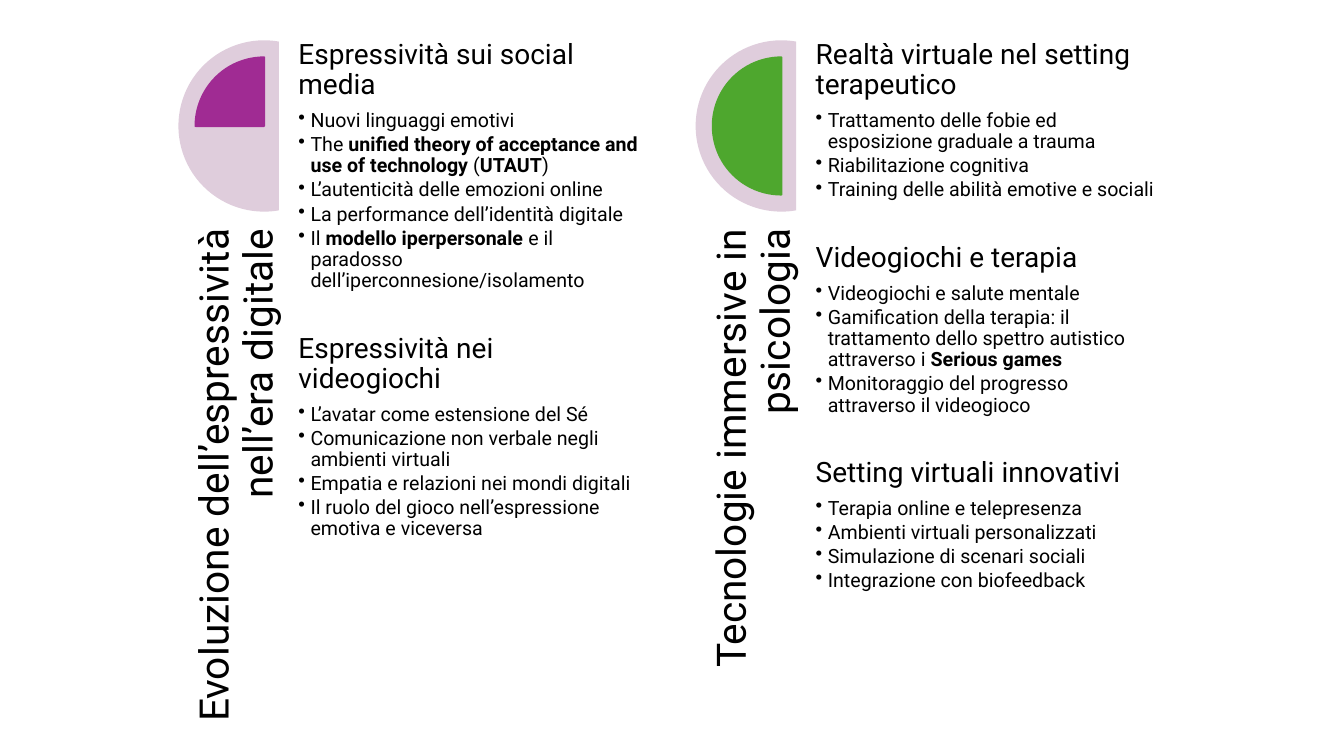
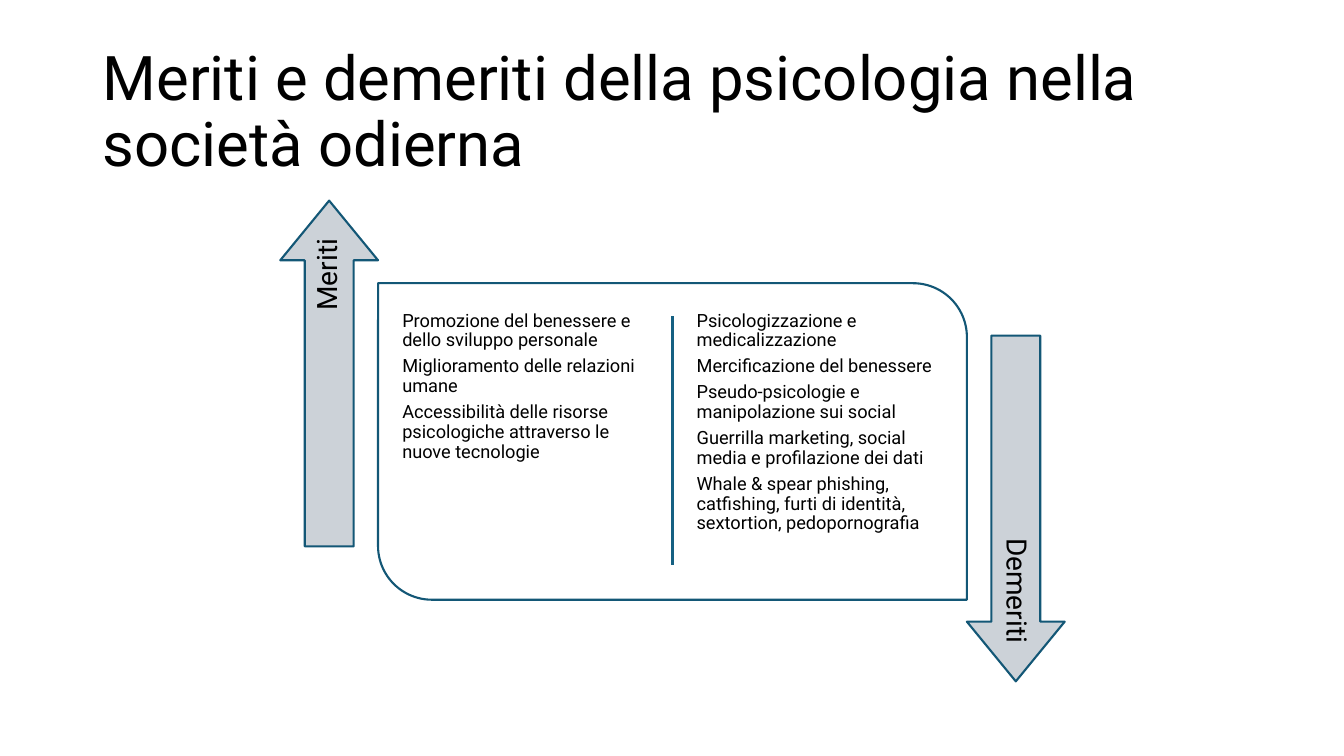
from lxml.etree import SubElement
from pptx import Presentation
from pptx.dml.color import RGBColor
from pptx.enum.shapes import MSO_CONNECTOR, MSO_SHAPE
from pptx.enum.text import MSO_ANCHOR, PP_ALIGN
from pptx.oxml.ns import qn
from pptx.util import Pt

PX = 9144
BLACK = RGBColor(0x00, 0x00, 0x00)
WHITE = RGBColor(0xFF, 0xFF, 0xFF)
MAUVE = RGBColor(0xDF, 0xCD, 0xDC)
PURPLE = RGBColor(0xA0, 0x2B, 0x93)
GREEN = RGBColor(0x4E, 0xA7, 0x2E)
GREY = RGBColor(0xCC, 0xD2, 0xD8)
NAVY = RGBColor(0x13, 0x57, 0x76)
TEAL = RGBColor(0x15, 0x60, 0x82)

CHAPTERS = [
    ("Evoluzione dell’espressività nell’era digitale", PURPLE, 108, [
        ("Espressività sui social media", [
            "Nuovi linguaggi emotivi",
            "The **unified theory of acceptance and use of technology** (**UTAUT**)",
            "L’autenticità delle emozioni online",
            "La performance dell’identità digitale",
            "Il **modello iperpersonale **e il paradosso dell’iperconnesione/isolamento"]),
        ("Espressività nei videogiochi", [
            "L’avatar come estensione del Sé",
            "Comunicazione non verbale negli ambienti virtuali",
            "Empatia e relazioni nei mondi digitali",
            "Il ruolo del gioco nell’espressione emotiva e viceversa"])]),
    ("Tecnologie immersive in psicologia", GREEN, 54, [
        ("Realtà virtuale nel setting terapeutico", [
            "Trattamento delle fobie ed esposizione graduale a trauma",
            "Riabilitazione cognitiva",
            "Training delle abilità emotive e sociali"]),
        ("Videogiochi e terapia", [
            "Videogiochi e salute mentale",
            "Gamification della terapia: il trattamento dello spettro autistico "
            "attraverso i **Serious games**",
            "Monitoraggio del progresso attraverso il videogioco"]),
        ("Setting virtuali innovativi", [
            "Terapia online e telepresenza",
            "Ambienti virtuali personalizzati",
            "Simulazione di scenari sociali",
            "Integrazione con biofeedback"])]),
]
MERITS = [
    "Promozione del benessere e dello sviluppo personale",
    "Miglioramento delle relazioni umane",
    "Accessibilità delle risorse psicologiche attraverso le nuove tecnologie",
]
DEMERITS = [
    "Psicologizzazione e medicalizzazione",
    "Mercificazione del benessere",
    "Pseudo-psicologie e manipolazione sui social",
    "Guerrilla marketing, social media e profilazione dei dati",
    "Whale & spear phishing, catfishing, furti di identità, sextortion, pedopornografia",
]


class Deck:
    """Holds the deck style and draws elements on the current slide."""

    font = "Roboto"
    line_width = Pt(1.5)
    bullet_indent = 12 * PX
    section_gap = Pt(30)

    def __init__(self, width, height):
        self.prs = Presentation()
        self.prs.slide_width, self.prs.slide_height = width * PX, height * PX

    def new_slide(self):
        self.s = self.prs.slides.add_slide(self.prs.slide_layouts[6])

    def shape(self, kind, box, adjustments, fill, line=None, rotation=0):
        sp = self.s.shapes.add_shape(kind, *(v * PX for v in box))
        sp.shadow.inherit = False
        sp.rotation = rotation
        for i, value in enumerate(adjustments):
            sp.adjustments[i] = value
        sp.fill.solid()
        sp.fill.fore_color.rgb = fill
        if line is None:
            sp.line.fill.background()
        else:
            sp.line.color.rgb = line
            sp.line.width = self.line_width

    def line(self, x1, y1, x2, y2, color):
        ln = self.s.shapes.add_connector(MSO_CONNECTOR.STRAIGHT, *(v * PX for v in (x1, y1, x2, y2)))
        ln.line.color.rgb = color
        ln.line.width = self.line_width
        SubElement(ln._element.spPr, qn("a:effectLst"))

    def frame(self, box, inset=(0, 0), anchor=MSO_ANCHOR.TOP, rotation=0):
        sp = self.s.shapes.add_textbox(*(v * PX for v in box))
        sp.rotation = rotation
        tf = sp.text_frame
        tf.word_wrap = True
        tf.vertical_anchor = anchor
        tf.margin_left = tf.margin_right = inset[0] * PX
        tf.margin_top = tf.margin_bottom = inset[1] * PX
        return tf

    def paragraph(self, tf, text, size, after=0.35, align=PP_ALIGN.LEFT):
        p = tf.add_paragraph() if tf.text else tf.paragraphs[0]
        p.alignment = align
        p.line_spacing = 0.9
        p.space_after = Pt(size * after)
        for i, part in enumerate(text.split("**")):
            if part:
                r = p.add_run()
                r.text = part
                r.font.name, r.font.size = self.font, Pt(size)
                r.font.bold = i % 2 == 1
                r.font.color.rgb = BLACK
        return p

    def bullet(self, tf, text):
        p = self.paragraph(tf, text, 14, after=0.15)
        p.level = 1
        pPr = p._p.get_or_add_pPr()
        pPr.set("marL", str(self.bullet_indent))
        pPr.set("indent", str(-self.bullet_indent))
        SubElement(pPr, qn("a:buChar"), char="•")
        return p

    def title(self, text):
        tf = self.frame((92, 40, 1150, 145), (10, 5), MSO_ANCHOR.MIDDLE)
        self.paragraph(tf, text, 44, after=0)

    def label(self, box, text, size, rotation, inset=0, anchor=MSO_ANCHOR.MIDDLE):
        tf = self.frame(box, (inset, inset), anchor, rotation)
        self.paragraph(tf, text, size, align=PP_ALIGN.RIGHT)

    def chapter(self, x, name, color, start, sections):
        self.shape(MSO_SHAPE.CHORD, (x, 40, 170, 170), (48, 168), MAUVE)
        self.shape(MSO_SHAPE.PIE, (x + 17, 57, 136, 136), (start, 162), color, color)
        self.label((x - 196, 423, 494, 102), name, 29, 270, anchor=MSO_ANCHOR.BOTTOM)
        tf = self.frame((x + 119, 40, 341, 682))
        for heading, points in sections:
            self.paragraph(tf, heading, 20)
            for point in points:
                p = self.bullet(tf, point)
            p.space_after = self.section_gap

    def column(self, x, lines):
        tf = self.frame((x, 304, 253, 266), (5, 5))
        for text in lines:
            self.paragraph(tf, text, 13)

    def arrow(self, x, y, label_x, label_y, text, rotation):
        self.shape(MSO_SHAPE.RIGHT_ARROW, (x, y, 343, 97), (0.5, 0.61), GREY, NAVY, rotation)
        self.label((label_x, label_y, 313, 49), text, 20, rotation, inset=8)


def main():
    deck = Deck(1333, 750)

    deck.new_slide()
    for i, chapter in enumerate(CHAPTERS):
        deck.chapter(177 + i * 513, *chapter)

    deck.new_slide()
    deck.title("Meriti e demeriti della psicologia nella società odierna")
    deck.shape(MSO_SHAPE.ROUND_2_DIAG_RECTANGLE, (375, 281, 584, 314), (0, 0.17), WHITE, NAVY)
    deck.line(667, 314, 667, 561, TEAL)
    deck.column(394, MERITS)
    deck.column(686, DEMERITS)
    deck.arrow(155, 322, 169, 361, "Meriti", 270)
    deck.arrow(836, 456, 851, 465, "Demeriti", 90)

    deck.prs.save("out.pptx")


if __name__ == "__main__":
    main()
